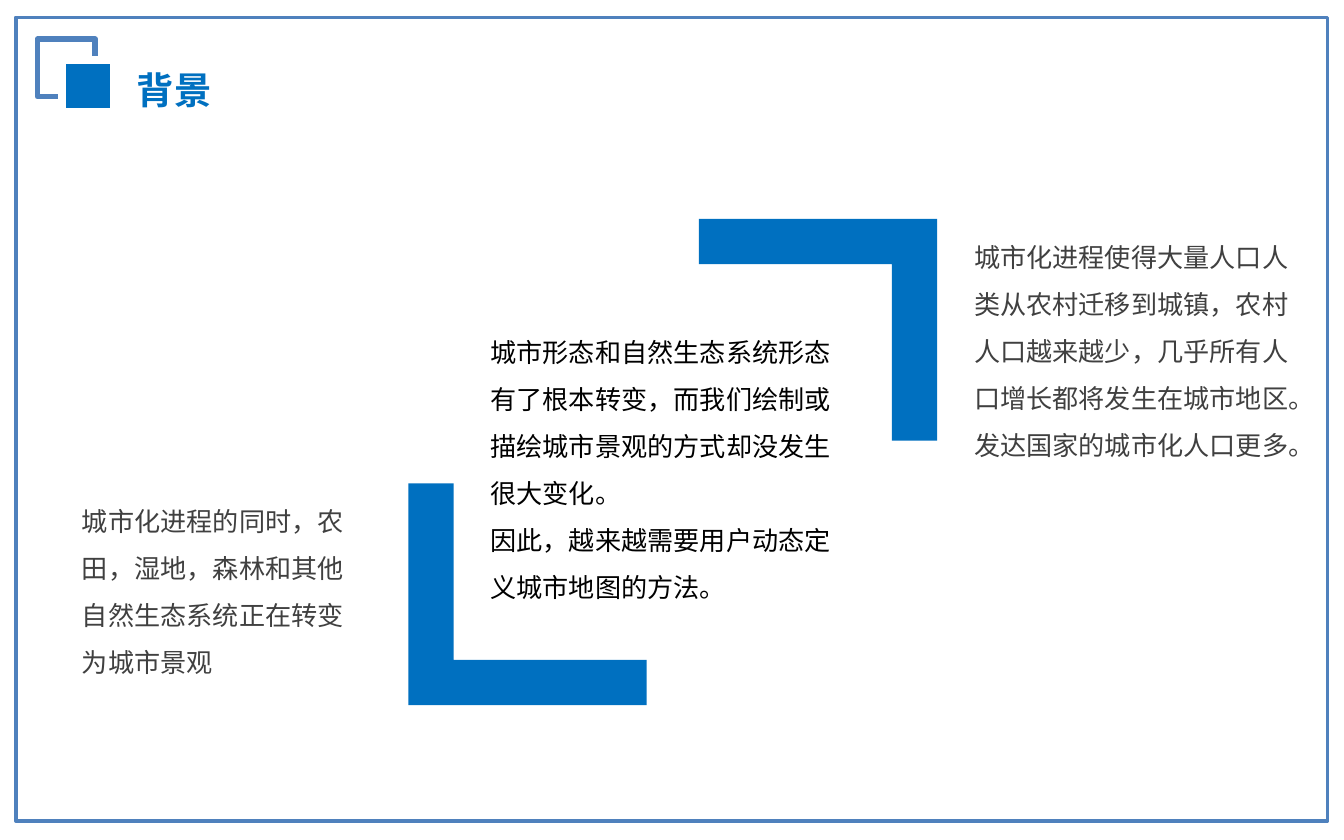
from lxml.etree import SubElement
from pptx import Presentation
from pptx.dml.color import RGBColor
from pptx.enum.lang import MSO_LANGUAGE_ID
from pptx.enum.shapes import MSO_SHAPE
from pptx.oxml.ns import qn
from pptx.util import Cm, Pt

COLORS = {
    "white": "FFFFFF",
    "border": "4F81BD",
    "accent": "0070C0",
    "gray": "404040",
    "black": "000000",
}
HEADING = {"name": "Noto Sans CJK SC", "size": Pt(20), "bold": True}
BODY = {"name": "Calibri", "size": Pt(14)}


def rgb(color):
    return RGBColor.from_string(COLORS[color])


def add_block(slide, kind, box, fill=None, line=None, width=0):
    block = slide.shapes.add_shape(kind, *map(Cm, box))
    block.shadow.inherit = False
    if fill:
        block.fill.solid()
        block.fill.fore_color.rgb = rgb(fill)
    else:
        block.fill.background()
    if line:
        block.line.color.rgb = rgb(line)
        block.line.width = Pt(width)
    else:
        block.line.fill.background()
    return block


def add_text(slide, box, paragraphs, style, color, spacing=None, wrap=True):
    frame = slide.shapes.add_textbox(*map(Cm, box)).text_frame
    frame.word_wrap = wrap
    for index, words in enumerate(paragraphs):
        paragraph = frame.paragraphs[0] if index == 0 else frame.add_paragraph()
        if spacing:
            paragraph.line_spacing = spacing
        run = paragraph.add_run()
        run.text = words
        font = run.font
        font.color.rgb = rgb(color)
        font.language_id = MSO_LANGUAGE_ID.SIMPLIFIED_CHINESE
        for attribute, value in style.items():
            setattr(font, attribute, value)
        # East Asian typeface follows the Latin one
        SubElement(run._r.rPr, qn("a:ea"), typeface=style["name"])


def build_border(slide, box):
    add_block(slide, MSO_SHAPE.RECTANGLE, box, "white", "border", 2)


def build_header(slide, left, top, title):
    # Overlapping squares, then the title beside them
    add_block(slide, MSO_SHAPE.RECTANGLE, (left, top, 1.09, 1.09),
              line="border", width=3)
    add_block(slide, MSO_SHAPE.RECTANGLE, (left + 0.46, top + 0.4, 0.99, 0.99),
              "accent", "white", 4.5)
    add_text(slide, (left + 1.63, top + 0.4, 1.93, 1.12), [title],
             HEADING, "accent", wrap=False)


def build_steps(slide, left, top, steps):
    # Corner brackets around the middle step, the second turned half round
    for dx, dy, rotation in ((6.42, 5, 0), (11.91, 0, 180)):
        bracket = add_block(slide, MSO_SHAPE.CORNER,
                            (left + dx, top + dy, 4.5, 4.19), "accent")
        bracket.rotation = rotation
        for index in range(2):
            bracket.adjustments[index] = 0.204

    # Step texts climbing from lower left to upper right
    places = ((0, 5, 5.69, 3.73), (7.72, 1.8, 7.06, 5.6), (16.86, 0, 6.58, 4.65))
    for (dx, dy, width, height), (color, paragraphs) in zip(places, steps):
        add_text(slide, (left + dx, top + dy, width, height), paragraphs,
                 BODY, color, spacing=1.5)


def main():
    presentation = Presentation()
    presentation.slide_width, presentation.slide_height = Cm(25.4), Cm(15.88)
    slide = presentation.slides.add_slide(presentation.slide_layouts[6])

    build_border(slide, (0.3, 0.33, 24.79, 15.19))
    build_header(slide, 0.71, 0.74, "背景")
    build_steps(slide, 1.3, 4.14, (
        ("gray", ["城市化进程的同时，农田，湿地，森林和其他自然生态系统正在转变为城市景观"]),
        ("black", [
            "城市形态和自然生态系统形态有了根本转变，而我们绘制或描绘城市景观的方式却没发生很大变化。",
            "因此，越来越需要用户动态定义城市地图的方法。",
        ]),
        ("gray", ["城市化进程使得大量人口人类从农村迁移到城镇，农村人口越来越少，"
                  "几乎所有人口增长都将发生在城市地区。发达国家的城市化人口更多。"]),
    ))
    presentation.save("out.pptx")


if __name__ == "__main__":
    main()
